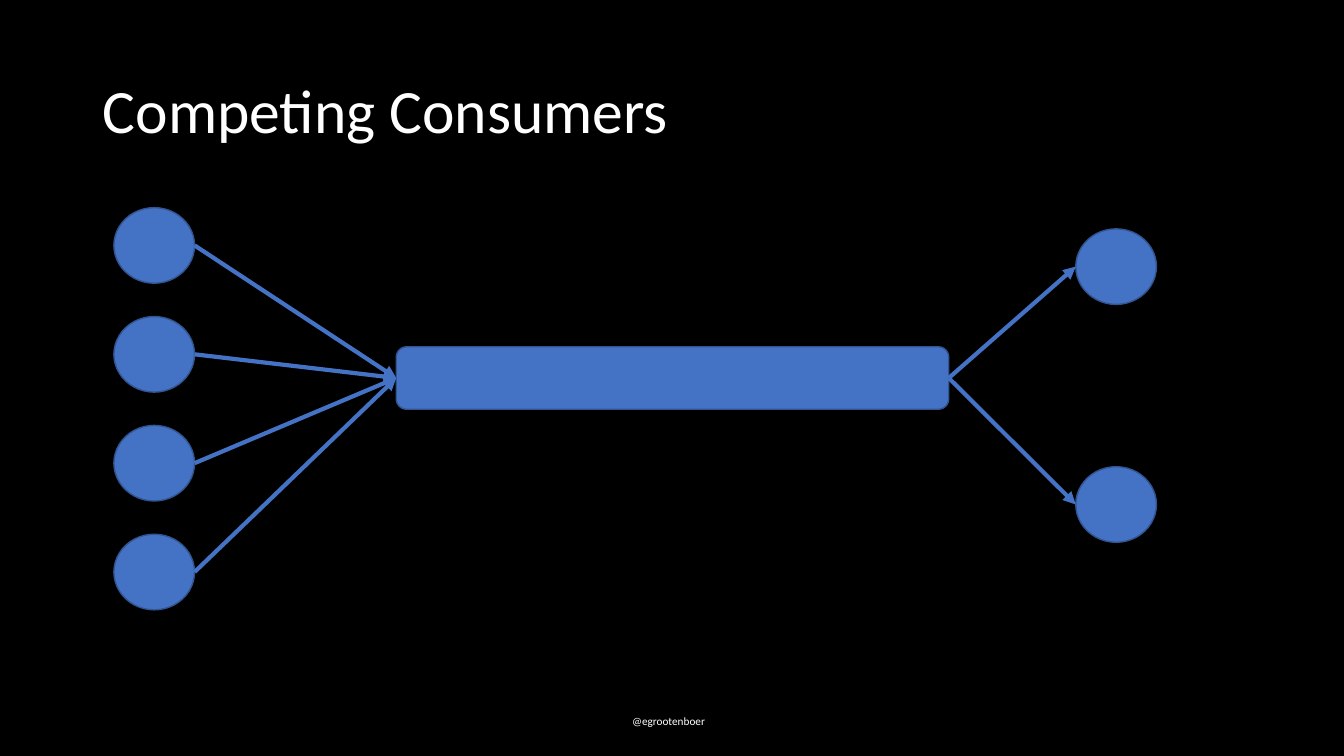
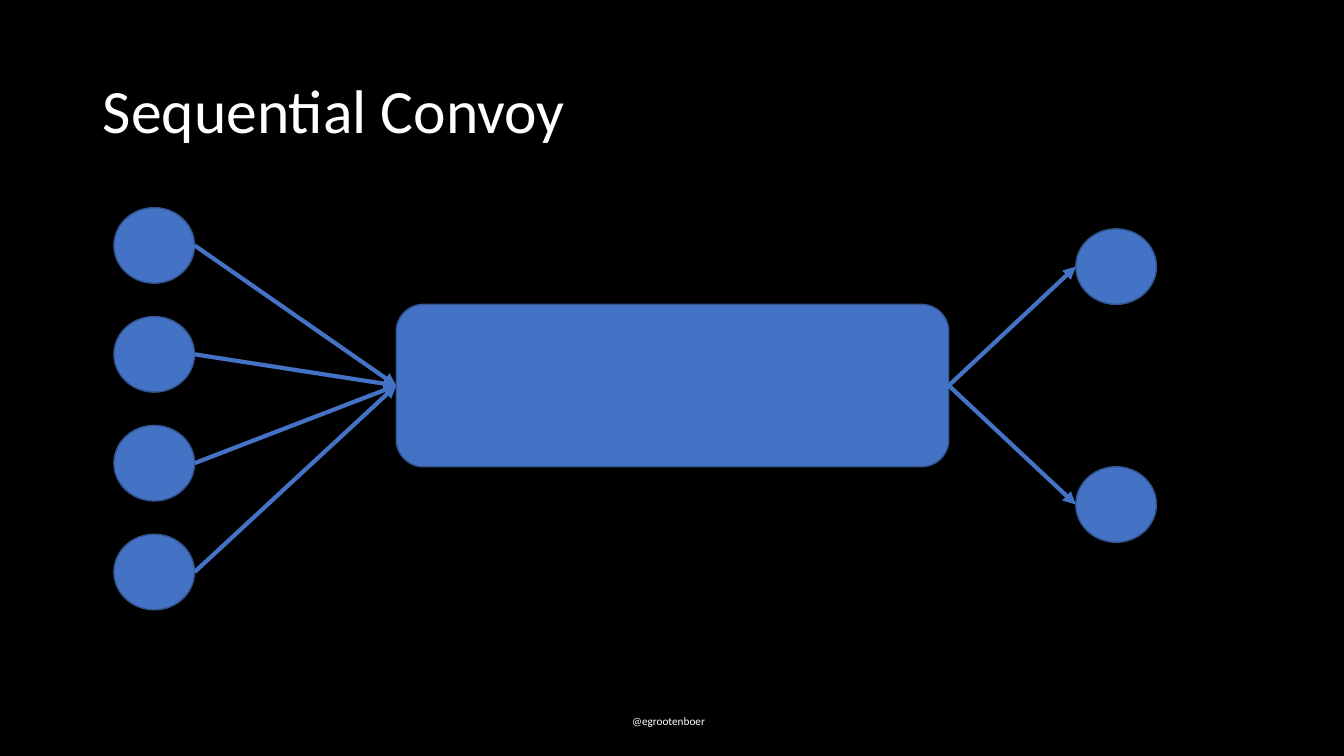
import pptx
import pptx.dml.color
import pptx.enum.shapes
import pptx.enum.text
import pptx.oxml
import pptx.oxml.ns
import pptx.util
from pptx.util import Inches

BLACK = "000000"
WHITE = "FFFFFF"
BLUE = "4472C4"
OUTLINE = "325491"
FONT = "Calibri"

TITLE_FRAME = {
    "word_wrap": True,
    "auto_size": pptx.enum.text.MSO_AUTO_SIZE.NONE,
    "vertical_anchor": pptx.enum.text.MSO_ANCHOR.MIDDLE,
}
FOOTER_FRAME = {
    "word_wrap": False,
    "auto_size": pptx.enum.text.MSO_AUTO_SIZE.SHAPE_TO_FIT_TEXT,
}
TITLE_PARA = {"alignment": pptx.enum.text.PP_ALIGN.LEFT, "line_spacing": 0.9}
TITLE_FONT = {"name": FONT, "size": pptx.util.Pt(44)}
FOOTER_FONT = {"name": FONT, "size": pptx.util.Pt(8)}

TITLE_AREA = (0.92, 0.4, 11.5, 1.45)
FOOTER_AREA = (6.17, 7.04, 0.99, 0.24)
NODE_SIZE = (0.8, 0.75)
SENDERS = [(1.13, 2.06 + 1.08 * row) for row in range(4)]
RECEIVERS = [(10.67, 2.27), (10.67, 4.63)]
QUEUE_LEFT, QUEUE_WIDTH = 3.93, 5.48

SLIDES = [
    ("Competing Consumers", 3.44, 0.62),
    ("Sequential Convoy", 3.02, 1.61),
]


def paint(target, color):
    target.rgb = pptx.dml.color.RGBColor.from_string(color)


def apply(target, values):
    for name, value in values.items():
        setattr(target, name, value)


def place(shape, area):
    values = [Inches(length) for length in area]
    apply(shape, dict(zip(("left", "top", "width", "height"), values)))


def write(box, text, frame, para_format, font):
    apply(box.text_frame, frame)
    para = box.text_frame.paragraphs[0]
    apply(para, para_format)
    span = para.add_run()
    span.text = text
    apply(span.font, font)
    paint(span.font.color, WHITE)


def add_title(page, text):
    title = page.shapes.title
    place(title, TITLE_AREA)
    write(title, text, TITLE_FRAME, TITLE_PARA, TITLE_FONT)


def add_footer(page):
    box = page.shapes.add_textbox(*map(Inches, FOOTER_AREA))
    write(box, "@egrootenboer", FOOTER_FRAME, {}, FOOTER_FONT)


def add_block(page, kind, area):
    block = page.shapes.add_shape(kind, *map(Inches, area))
    block.shadow.inherit = False
    block.fill.solid()
    paint(block.fill.fore_color, BLUE)
    paint(block.line.color, OUTLINE)
    block.line.width = pptx.util.Pt(1)
    return block


def add_arrow(page, source, target):
    arrow = page.shapes.add_connector(
        pptx.enum.shapes.MSO_CONNECTOR.STRAIGHT,
        source.left + source.width,
        source.top + source.height // 2,
        target.left,
        target.top + target.height // 2,
    )
    paint(arrow.line.color, BLUE)
    arrow.line.width = pptx.util.Pt(3)
    head = pptx.oxml.parse_xml(
        f'<a:tailEnd {pptx.oxml.ns.nsdecls("a")} type="triangle"/>'
    )
    arrow.line._get_or_add_ln().append(head)
    effects = pptx.oxml.parse_xml(f'<a:effectLst {pptx.oxml.ns.nsdecls("a")}/>')
    arrow._element.spPr.append(effects)


def add_flow(page, queue_top, queue_height):
    kinds = pptx.enum.shapes.MSO_SHAPE
    senders, receivers = [
        [add_block(page, kinds.OVAL, corner + NODE_SIZE) for corner in corners]
        for corners in (SENDERS, RECEIVERS)
    ]
    queue_area = (QUEUE_LEFT, queue_top, QUEUE_WIDTH, queue_height)
    queue = add_block(page, kinds.ROUNDED_RECTANGLE, queue_area)
    for sender in senders:
        add_arrow(page, sender, queue)
    for receiver in receivers:
        add_arrow(page, queue, receiver)


def add_page(deck, title, queue_top, queue_height):
    page = deck.slides.add_slide(deck.slide_layouts.get_by_name("Title Only"))
    page.background.fill.solid()
    paint(page.background.fill.fore_color, BLACK)
    add_footer(page)
    add_title(page, title)
    add_flow(page, queue_top, queue_height)


def main():
    deck = pptx.Presentation()
    deck.slide_width = Inches(13.33)
    deck.slide_height = Inches(7.5)
    for content in SLIDES:
        add_page(deck, *content)
    deck.save("out.pptx")


if __name__ == "__main__":
    main()
